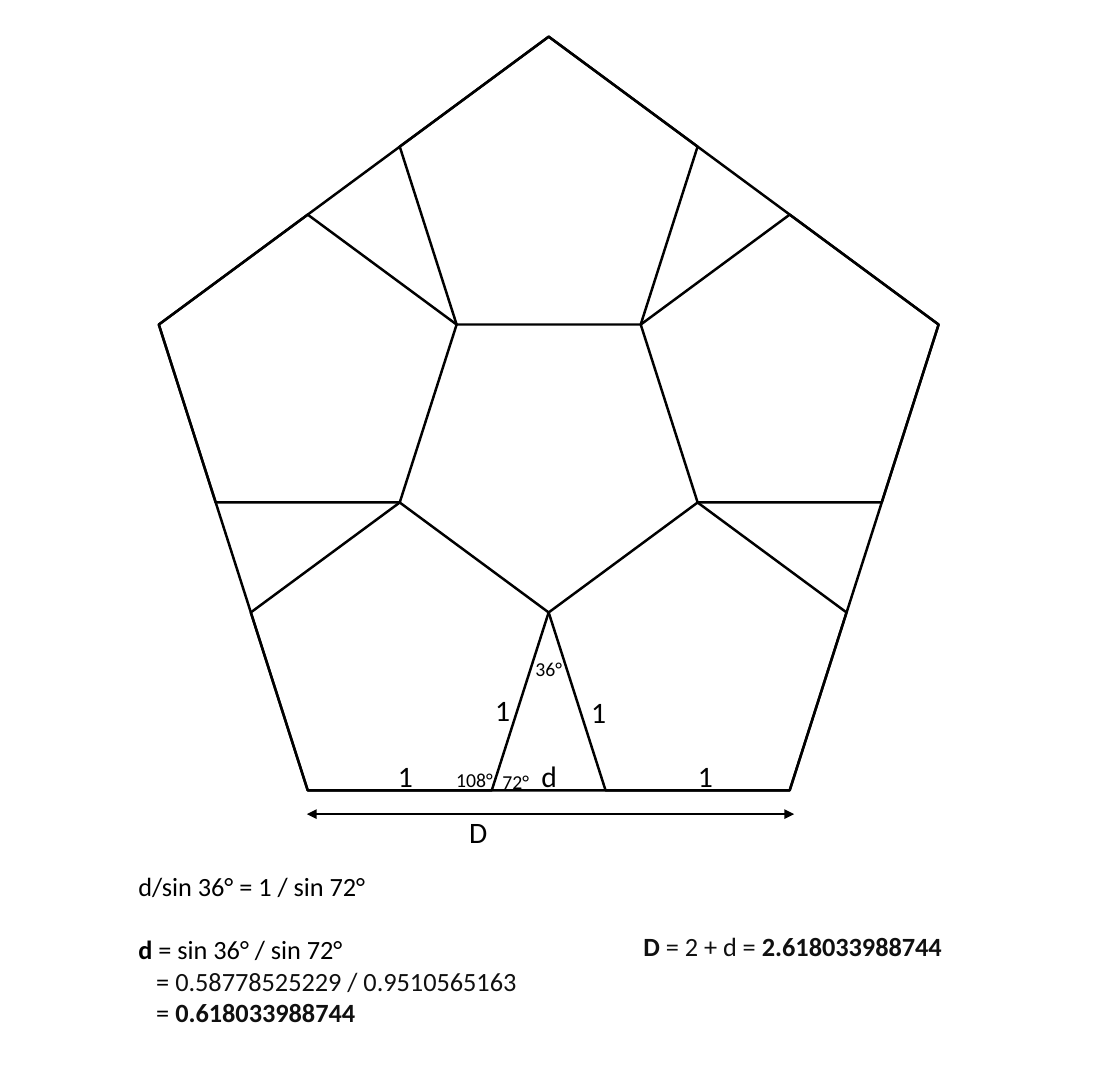
import pptx
import pptx.util
import pptx.dml.color
import pptx.enum.shapes
import pptx.enum.text
import pptx.oxml.ns
from lxml import etree

Inches = pptx.util.Inches
Pt = pptx.util.Pt
SHAPE = pptx.enum.shapes.MSO_SHAPE
COLORS = {"black": "000000", "ink": "101010"}
FONT = "Calibri"
PHI = (1 + 5 ** 0.5) / 2
# Corners of a regular pentagon as fractions of its box
CORNERS = [(0.5, 0), (0, PHI ** -2), (1, PHI ** -2),
           (PHI ** -2 / 2, 1), (1 - PHI ** -2 / 2, 1)]


def rgb(name):
    return pptx.dml.color.RGBColor.from_string(COLORS[name])


def add_pentagon(s, x, y, w, h):
    sp = s.shapes.add_shape(SHAPE.REGULAR_PENTAGON,
                            Inches(x), Inches(y), Inches(w), Inches(h))
    sp.shadow.inherit = False
    sp.fill.background()
    sp.line.color.rgb = rgb("black")
    sp.line.width = Pt(1.5)


def add_run(p, text, size=16, color="black", bold=False):
    r = p.add_run()
    r.text = text
    r.font.name = FONT
    r.font.size = Pt(size)
    r.font.bold = bold
    r.font.color.rgb = rgb(color)


def add_text_frame(s, x, y, w, h):
    tf = s.shapes.add_textbox(Inches(x), Inches(y), Inches(w), Inches(h)).text_frame
    tf.word_wrap = False
    tf.auto_size = pptx.enum.text.MSO_AUTO_SIZE.SHAPE_TO_FIT_TEXT
    return tf


def add_label(s, text, x, y, w, h=0.4, size=18):
    add_run(add_text_frame(s, x, y, w, h).paragraphs[0], text, size=size)


def add_arrow(s, x1, x2, y):
    """Draw a horizontal dimension line with a head at both ends."""
    line = s.shapes.add_connector(pptx.enum.shapes.MSO_CONNECTOR.STRAIGHT,
                                  Inches(x1), Inches(y), Inches(x2), Inches(y))
    line.line.color.rgb = rgb("black")
    line.line.width = Pt(1.5)
    ln = line.line._get_or_add_ln()
    for end in ("a:headEnd", "a:tailEnd"):
        etree.SubElement(ln, pptx.oxml.ns.qn(end), type="triangle")
    etree.SubElement(line._element.spPr, pptx.oxml.ns.qn("a:effectLst"))


def add_pentagons(s, x, y, w, h):
    """Draw the large pentagon with a small one in each of its corners."""
    add_pentagon(s, x, y, w, h)
    small_w, small_h = w / PHI ** 2, h / PHI ** 2
    for fx, fy in CORNERS:
        add_pentagon(s, x + fx * (w - small_w), y + fy * (h - small_h),
                     small_w, small_h)


def add_measures(s, x, y):
    """Label sides and angles relative to the large pentagon's top left."""
    for text, dx, dy in [("1", 1.92, 6.04), ("1", 4.45, 6.04),
                         ("1", 2.74, 5.48), ("1", 3.55, 5.5),
                         ("d", 3.13, 6.04), ("D", 2.52, 6.51)]:
        add_label(s, text, x + dx, y + dy, 0.36 if text == "D" else 0.33)
    for text, dx, dy, w in [("108°", 2.41, 6.12, 0.52), ("72°", 2.8, 6.14, 0.43),
                            ("36°", 3.08, 5.18, 0.43)]:
        add_label(s, text, x + dx, y + dy, w, h=0.3, size=12)
    add_arrow(s, x + 1.25, x + 5.36, y + 6.56)


def add_formulas(s, x, y, w, h):
    """Derive d on the left and D on the right."""
    tf = add_text_frame(s, x, y, 3.44, h)
    add_run(tf.paragraphs[0], "d/sin 36° = 1 / sin 72°")
    p = tf.add_paragraph()
    p.space_before = Pt(19.5)
    add_run(p, "d ", bold=True)
    add_run(p, "= sin 36° / sin 72°")
    for value, bold in [("0.58778525229 / 0.9510565163", False),
                        ("0.618033988744", True)]:
        p = tf.add_paragraph()
        p._p.get_or_add_pPr().set("marL", str(Inches(0.15)))
        add_run(p, "= ")
        add_run(p, value, color="ink", bold=bold)

    p = add_text_frame(s, x + w - 2.76, y + 0.51, 2.76, 0.37).paragraphs[0]
    add_run(p, "D", color="ink", bold=True)
    add_run(p, " = 2 + d = ", color="ink")
    add_run(p, "2.618033988744", color="ink", bold=True)


def main():
    prs = pptx.Presentation()
    prs.slide_width, prs.slide_height = Inches(9.45), Inches(9.13)
    s = prs.slides.add_slide(prs.slide_layouts[6])
    add_pentagons(s, 1.34, 0.31, 6.58, 6.36)
    add_measures(s, 1.34, 0.31)
    add_formulas(s, 1.07, 7.29, 7.02, 1.45)
    prs.save("out.pptx")


if __name__ == "__main__":
    main()
